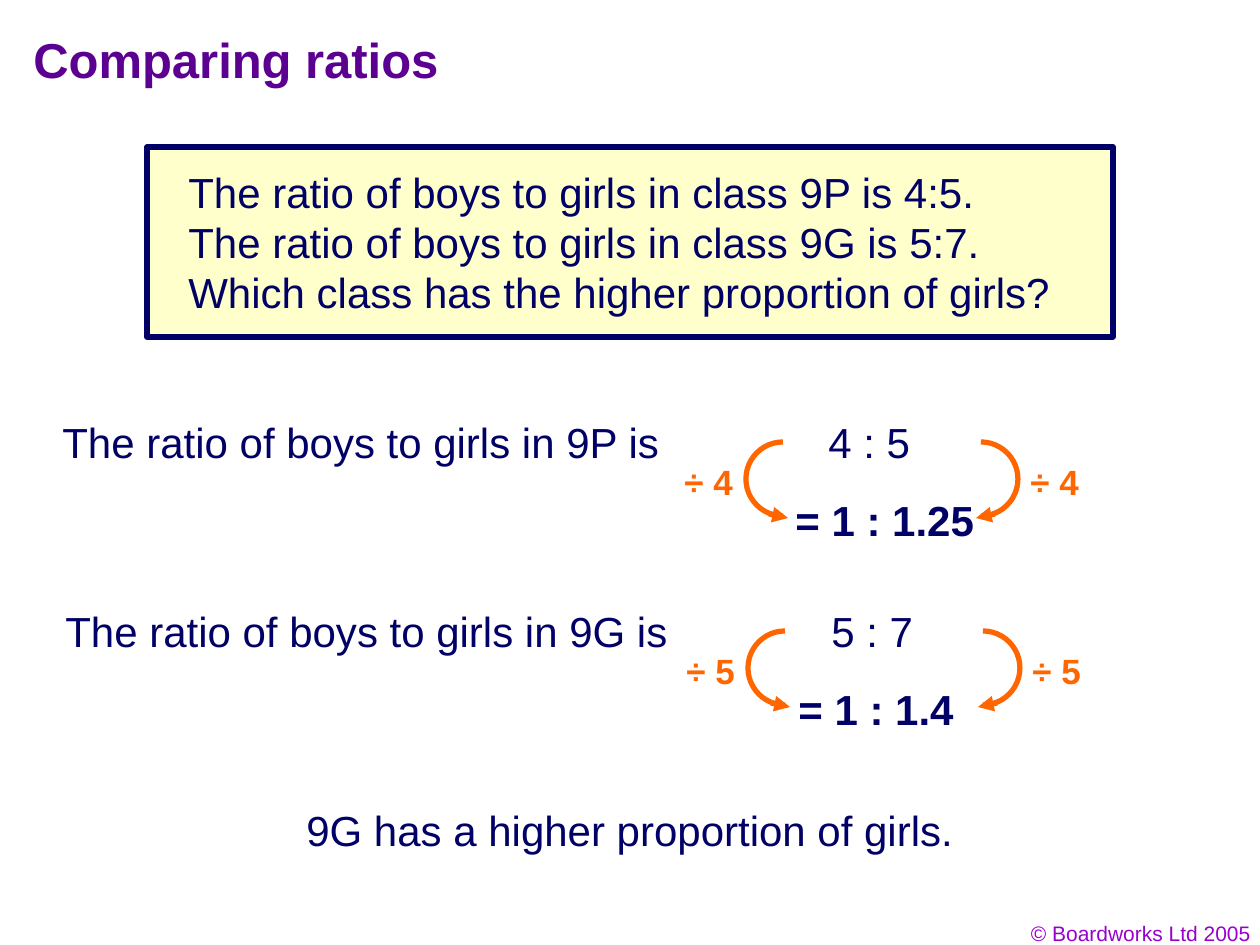
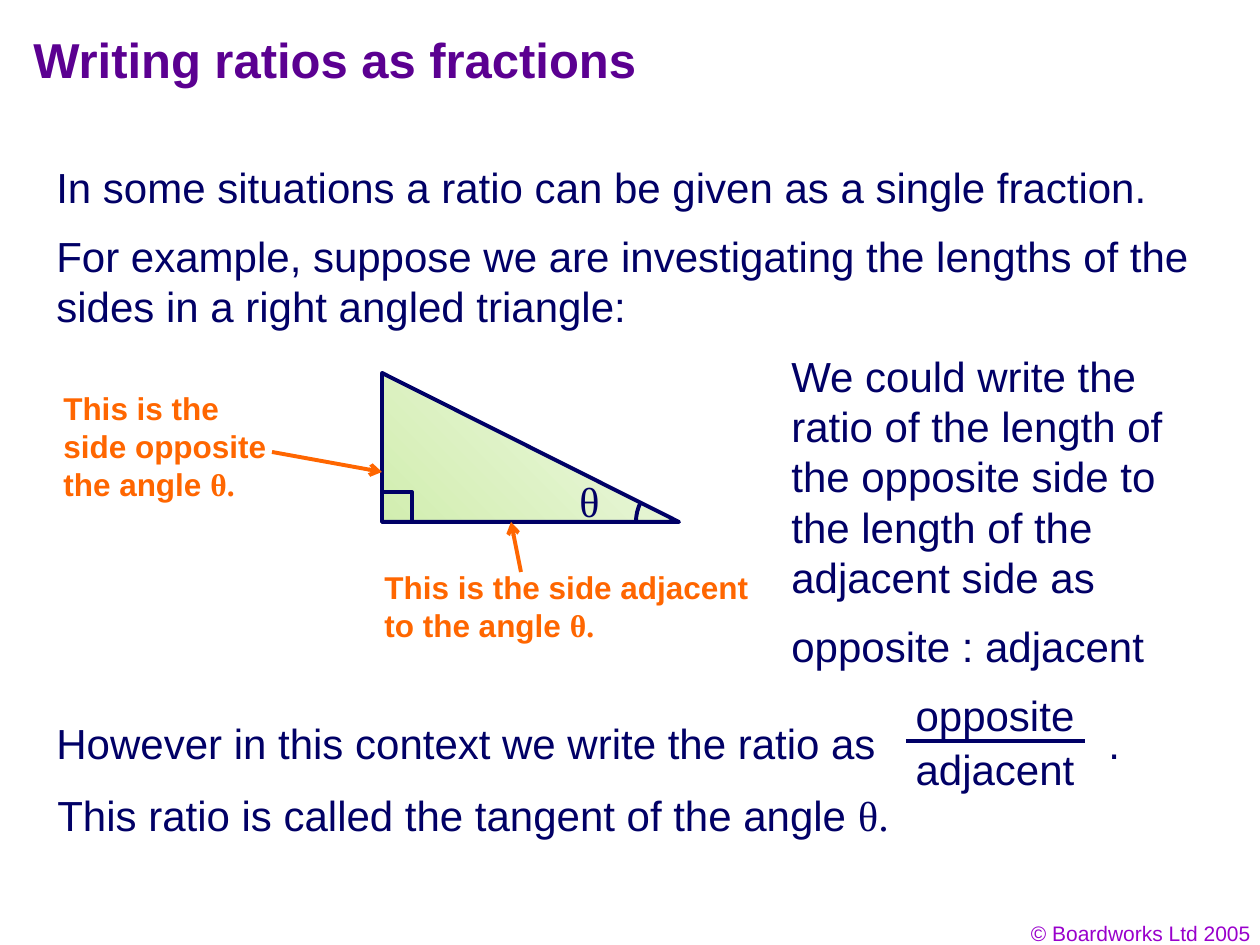
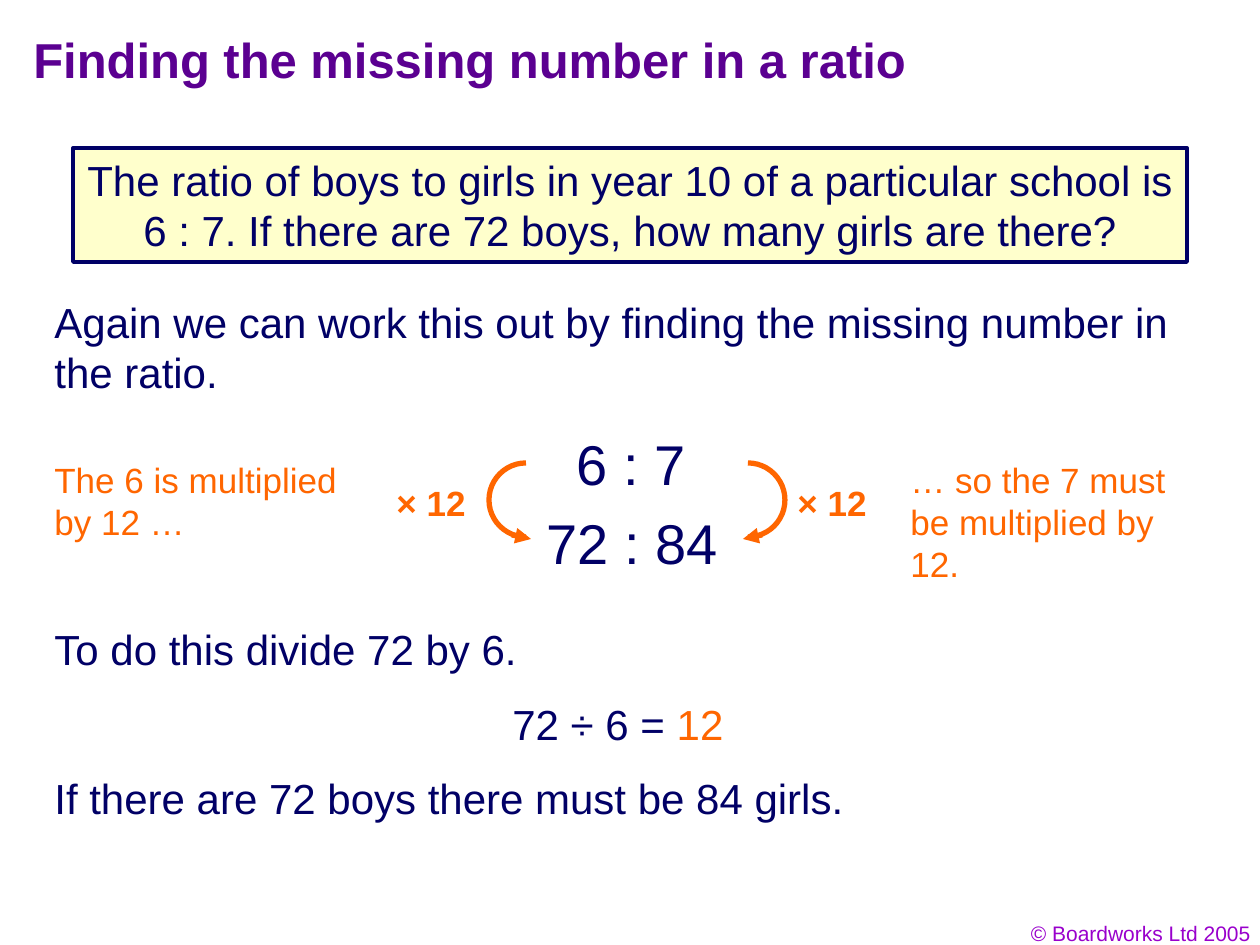
from pptx import Presentation
from pptx.dml.color import RGBColor
from pptx.enum.shapes import MSO_CONNECTOR, MSO_SHAPE
from pptx.enum.text import MSO_ANCHOR, PP_ALIGN
from pptx.oxml.ns import qn
from pptx.util import Pt
from lxml import etree

PX = 914400 / 126
RECT, ARC, TRI = MSO_SHAPE.RECTANGLE, MSO_SHAPE.ARC, MSO_SHAPE.RIGHT_TRIANGLE
STRAIGHT = MSO_CONNECTOR.STRAIGHT
LEFT, MID, RIGHT = PP_ALIGN.LEFT, PP_ALIGN.CENTER, PP_ALIGN.RIGHT
TOP, BOTTOM = MSO_ANCHOR.TOP, MSO_ANCHOR.BOTTOM
COLORS = {
    "title": "5B0091", "foot": "9900CC", "ink": "010066", "line": "000066",
    "hot": "FF6600", "cream": "FFFFCC", "pale": "EFF8E5", "green": "D2EEB0",
}
RGB = {name: RGBColor.from_string(code) for name, code in COLORS.items()}
SANS, SERIF = "Arial", "Times New Roman"
THETA = ("θ.", SERIF, "hot")


def write(slide, text, x, y, w, h, size=24, color="ink", bold=False,
          align=LEFT, anchor=TOP, tail=None):
    """Add a text box; tail is a last run as (text, font, colour)."""
    box = slide.shapes.add_textbox(*(round(v * PX) for v in (x, y, w, h)))
    frame = box.text_frame
    frame.word_wrap = True
    frame.vertical_anchor = anchor
    frame.text = text
    for para in frame.paragraphs:
        para.alignment = align
        font = para.font
        font.name, font.size, font.bold = SANS, Pt(size), bold
        font.color.rgb = RGB[color]
    if tail:
        run = para.add_run()
        run.text, run.font.name = tail[:2]
        run.font.color.rgb = RGB[tail[2]]


def draw(slide, x1, y1, x2, y2, color="hot", width=2.25, head=None):
    """Add a straight line, with an arrowhead at its end if given."""
    line = slide.shapes.add_connector(
        STRAIGHT, *(round(v * PX) for v in (x1, y1, x2, y2)))
    line.line.color.rgb = RGB[color]
    line.line.width = Pt(width)
    props = line._element.spPr
    if head:
        etree.SubElement(props.find(qn("a:ln")), qn("a:tailEnd"), type=head)
    etree.SubElement(props, qn("a:effectLst"))


deck = Presentation()
deck.slide_width, deck.slide_height = round(1260 * PX), round(945 * PX)

# Shared title and footer
pages = []
for title in ("Comparing ratios", "Writing ratios as fractions",
              "Finding the missing number in a ratio"):
    page = deck.slides.add_slide(deck.slide_layouts[6])
    write(page, "© Boardworks Ltd 2005", 969, 914, 294, 38, 12, "foot", align=RIGHT)
    write(page, title, 21, 21, 1000, 74, 28, "title", True, anchor=BOTTOM)
    pages.append(page)
compare, tangent, missing = pages

# Question panels
for page, x, y, w, h, width in ((compare, 147, 147, 966, 190, 3),
                                (missing, 73, 148, 1114, 114, 2.25)):
    panel = page.shapes.add_shape(RECT, *(round(v * PX) for v in (x, y, w, h)))
    panel.shadow.inherit = False
    panel.fill.solid()
    panel.fill.fore_color.rgb = RGB["cream"]
    panel.line.color.rgb = RGB["line"]
    panel.line.width = Pt(width)

# Slide 1: two classes
write(compare, "The ratio of boys to girls in class 9P is 4:5.\n"
      "The ratio of boys to girls in class 9G is 5:7.\n"
      "Which class has the higher proportion of girls?",
      176, 160, 920, 164, color="line")
for x, y, name, ratio, unit in ((50, 410, "9P", "4 : 5", "= 1 : 1.25"),
                                (53, 599, "9G", "5 : 7", "= 1 : 1.4")):
    write(compare, f"The ratio of boys to girls in {name} is", x, y, 640, 63)
    write(compare, ratio, x + 766, y, 130, 63)
    write(compare, unit, x + 733, y + 78, 230, 63, bold=True)
write(compare, "9G has a higher proportion of girls.", 294, 798, 690, 63)

# Slide 2: introduction
write(tangent, "In some situations a ratio can be given as a single fraction.",
      44, 155, 1171, 63)
write(tangent, "For example, suppose we are investigating the lengths of the "
      "sides in a right angled triangle:", 44, 224, 1171, 113)

# Slide 2: triangle with its right angle and angle θ
for kind, x, y, w, h in ((TRI, 382, 373, 297, 149), (RECT, 382, 492, 30, 30),
                         (ARC, 636, 479, 86, 86)):
    part = tangent.shapes.add_shape(kind, *(round(v * PX) for v in (x, y, w, h)))
    part.shadow.inherit = False
    part.line.color.rgb = RGB["line"]
    part.line.width = Pt(2.25)
    if kind == TRI:
        part.fill.gradient()
        part.fill.gradient_angle = 225
        for stop, name in zip(part.fill.gradient_stops, ("pale", "green")):
            stop.color.rgb = RGB[name]
    else:
        part.fill.background()
    if kind == ARC:
        for i, angle in enumerate((180, 207)):
            part.adjustments[i] = angle * 0.6
write(tangent, "", 567, 469, 60, 63, tail=("θ", SERIF, "ink"))

# Slide 2: side labels
write(tangent, "This is the side opposite the angle ", 51, 383, 251, 126,
      18, "hot", True, tail=THETA)
write(tangent, "This is the side adjacent to the angle ", 372, 562, 397, 88,
      18, "hot", True, tail=THETA)
draw(tangent, 272, 452, 382, 472, head="arrow")
draw(tangent, 521, 572, 511, 522, head="arrow")

# Slide 2: ratio and fraction
write(tangent, "We could write the ratio of the length of the opposite side to "
      "the length of the adjacent side as", 779, 344, 456, 265)
write(tangent, "opposite : adjacent", 779, 614, 432, 63)
write(tangent, "However in this context we write the ratio as", 44, 711, 860, 63)
write(tangent, ".", 1096, 711, 40, 63)
for word, y in (("opposite", 683), ("adjacent", 737)):
    write(tangent, word, 903, y, 184, 63, align=MID)
draw(tangent, 906, 741, 1085, 741, "line")
write(tangent, "This ratio is called the tangent of the angle ", 45, 783, 880, 63,
      tail=("θ.", SERIF, "ink"))

# Slide 3: question and working
write(missing, "The ratio of boys to girls in year 10 of a particular school is "
      "6 : 7. If there are 72 boys, how many girls are there?",
      73, 148, 1114, 114, align=MID)
write(missing, "Again we can work this out by finding the missing number in "
      "the ratio.", 42, 290, 1154, 113)
write(missing, "6 : 7", 564, 423, 150, 81, 32)
write(missing, "72 : 84", 534, 502, 210, 81, 32)
write(missing, "The 6 is multiplied by 12 …", 42, 452, 338, 97, 20, "hot")
write(missing, "… so the 7 must be multiplied by 12.", 898, 452, 318, 139, 20, "hot")
write(missing, "To do this divide 72 by 6.", 42, 617, 520, 63)
write(missing, "72 ÷ 6 = ", 500, 692, 260, 63, tail=("12", SANS, "hot"))
write(missing, "If there are 72 boys there must be 84 girls.", 42, 766, 840, 63)

# Curved arrows on both sides of each ratio
SIZE = 74
for page, label, y, left, right, gap in ((compare, "÷ 4", 442, 746, 944, 74),
                                         (compare, "÷ 5", 631, 748, 946, 74),
                                         (missing, "× 12", 463, 489, 711, 105)):
    for x, start, end, tail, tip, text in ((left, 90, 270, 23, 42, left - gap),
                                           (right, 270, 90, 51, 32, right + SIZE)):
        bow = page.shapes.add_shape(
            ARC, *(round(v * PX) for v in (x, y, SIZE, SIZE)))
        bow.shadow.inherit = False
        bow.fill.background()
        bow.line.color.rgb = RGB["hot"]
        bow.line.width = Pt(3)
        bow.adjustments[0], bow.adjustments[1] = start * 0.6, end * 0.6
        draw(page, x + tail, y + 72, x + tip, y + 76, width=3, head="triangle")
        write(page, label, text, y + 12, 110, 55, 20, "hot", True)

deck.save("out.pptx")
